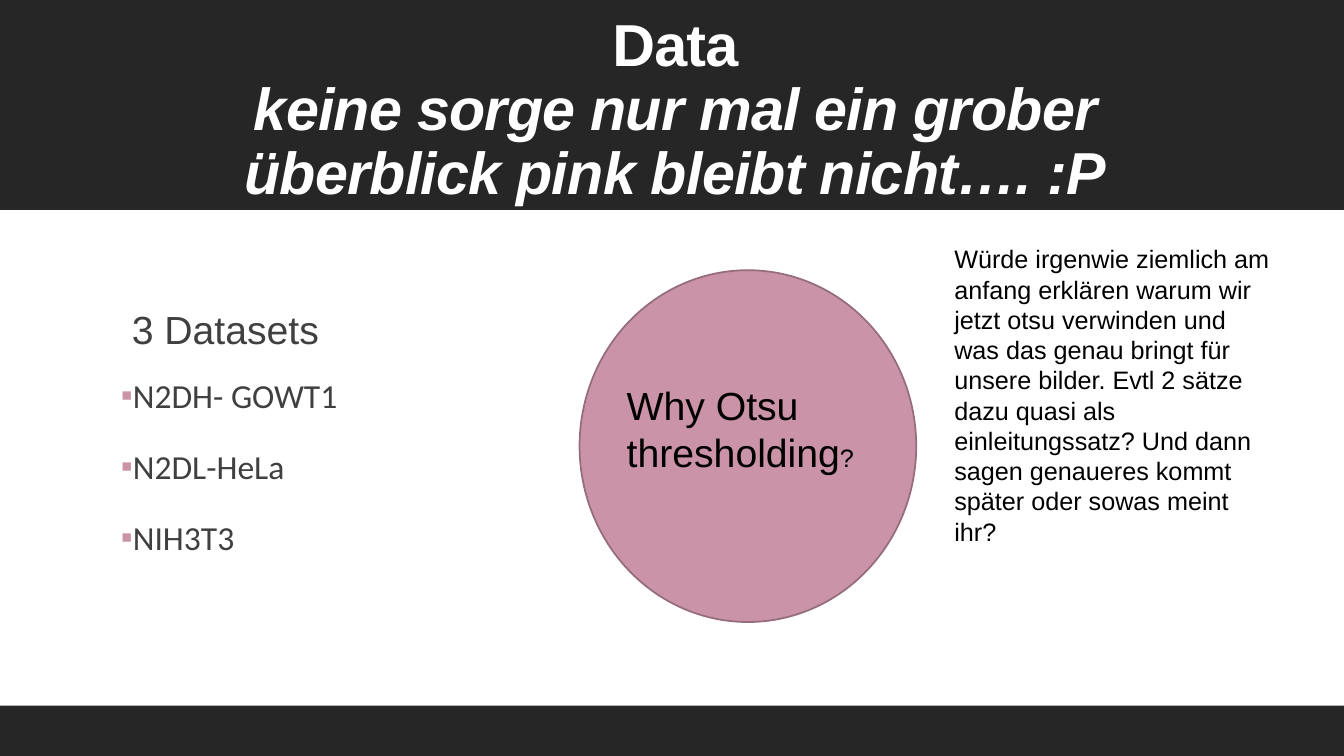
from dataclasses import dataclass

from lxml import etree
from pptx import Presentation
from pptx.dml.color import RGBColor
from pptx.enum import shapes, text
from pptx.oxml import ns
from pptx.util import Pt


@dataclass(frozen=True)
class Theme:
    dark: RGBColor = RGBColor(0x26, 0x26, 0x26)
    white: RGBColor = RGBColor(0xFF, 0xFF, 0xFF)
    grey: RGBColor = RGBColor(0x40, 0x40, 0x40)
    black: RGBColor = RGBColor(0, 0, 0)
    pink: RGBColor = RGBColor(0xCA, 0x93, 0xA7)
    pink_edge: RGBColor = RGBColor(0x95, 0x6D, 0x7C)
    heading_font: str = "Arial"
    list_font: str = "Calibri"
    title_size: float = 42.3
    lead_size: float = 28
    list_size: float = 24
    note_size: float = 18


theme = Theme()


def set_font(font, name, size, color):
    font.name, font.size = name, Pt(size)
    font.color.rgb = color


def place(shape, left, top, width, height):
    shape.left, shape.top = Pt(left), Pt(top)
    shape.width, shape.height = Pt(width), Pt(height)


prs = Presentation()
prs.slide_width, prs.slide_height = Pt(960), Pt(540)
slide = prs.slides.add_slide(prs.slide_layouts[1])
slide.background.fill.solid()
slide.background.fill.fore_color.rgb = theme.white

# Dark bands at top and bottom, behind the text
for top, height in ((0, 150), (504, 36)):
    band = slide.shapes.add_shape(
        shapes.MSO_SHAPE.RECTANGLE, Pt(0), Pt(top), Pt(960), Pt(height))
    band.shadow.inherit = False
    band.fill.solid()
    band.fill.fore_color.rgb = theme.dark
    band.line.fill.background()
    slide.shapes._spTree.insert(2, band._element)

# Title
title = slide.shapes.title
place(title, 86.4, 22.3, 792, 114.5)
title.text_frame.auto_size = text.MSO_AUTO_SIZE.NONE
title.text_frame.vertical_anchor = text.MSO_ANCHOR.MIDDLE
headline = title.text_frame.paragraphs[0]
headline.alignment = text.PP_ALIGN.CENTER
headline.line_spacing = 0.9
set_font(headline.font, theme.heading_font, theme.title_size, theme.white)
headline.font.bold = True
headline._p.pPr.find(ns.qn("a:defRPr")).set("spc", "-50")
headline.add_run().text = "Data"
headline.add_line_break()
remark = headline.add_run()
remark.text = "keine sorge nur mal ein grober überblick pink bleibt nicht…. :P"
remark.font.italic = True

# Dataset list
datasets = slide.placeholders[1]
place(datasets, 86.4, 211, 792, 251.3)
frame = datasets.text_frame
frame.auto_size = text.MSO_AUTO_SIZE.NONE
frame.vertical_anchor = text.MSO_ANCHOR.TOP
frame.margin_left = frame.margin_right = 0
for i, entry in enumerate(("3 Datasets", "N2DH- GOWT1", "N2DL-HeLa", "NIH3T3")):
    is_lead = i == 0
    item = frame.paragraphs[0] if is_lead else frame.add_paragraph()
    item.text = entry
    item.space_before = Pt(12)
    item.space_after = Pt(2 if is_lead else 8)
    item.line_spacing = 1.1 if is_lead else 1.07
    props = item._p.get_or_add_pPr()
    props.set("marL", str(Pt(7.2)))
    props.set("indent", str(Pt(-7.2)))
    bullet_color = etree.SubElement(props, ns.qn("a:buClr"))
    etree.SubElement(bullet_color, ns.qn("a:srgbClr"), val=str(theme.pink))
    etree.SubElement(props, ns.qn("a:buChar"), char=" " if is_lead else "▪")
    set_font(item.font,
             theme.heading_font if is_lead else theme.list_font,
             theme.lead_size if is_lead else theme.list_size, theme.grey)

# Pink circle
circle = slide.shapes.add_shape(
    shapes.MSO_SHAPE.OVAL, Pt(414), Pt(193), Pt(240.5), Pt(251.3))
circle.shadow.inherit = False
circle.fill.solid()
circle.fill.fore_color.rgb = theme.pink
circle.line.color.rgb = theme.pink_edge
circle.line.width = Pt(1.25)

# Question in the circle and the note beside it
question = "Why Otsu thresholding"
note = ("Würde irgenwie ziemlich am anfang erklären warum wir jetzt otsu "
        "verwinden und was das genau bringt für unsere bilder. Evtl 2 sätze "
        "dazu quasi als einleitungssatz? Und dann sagen genaueres kommt "
        "später oder sowas meint ihr?")
for wording, size, box in (
        (question, theme.lead_size, (440.6, 268.6, 188, 75)),
        (note, theme.note_size, (674.6, 170.6, 240.5, 225.4))):
    caption = slide.shapes.add_textbox(*map(Pt, box))
    caption.text_frame.word_wrap = True
    passage = caption.text_frame.paragraphs[0]
    passage.add_run().text = wording
    set_font(passage.font, theme.heading_font, size, theme.black)
    if wording == question:
        mark = passage.add_run()
        mark.text = "?"
        mark.font.size = Pt(theme.note_size)

prs.save("out.pptx")
